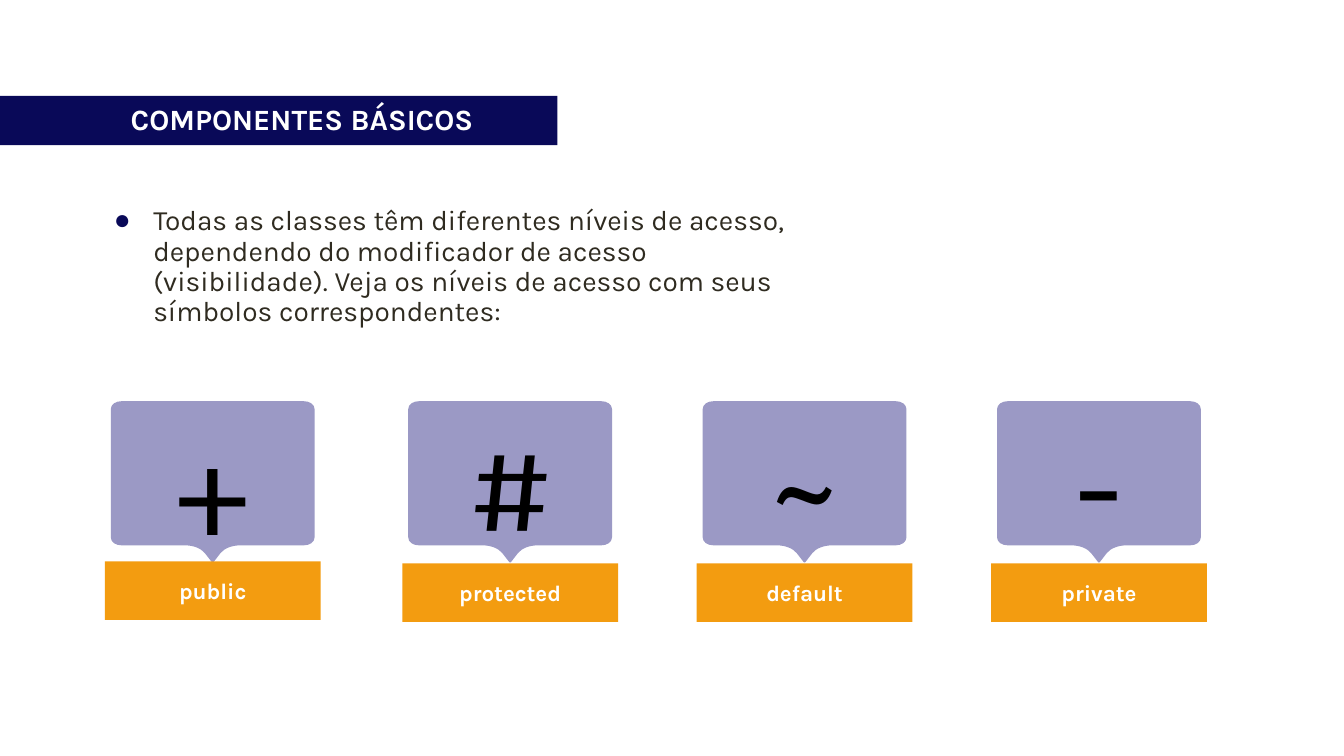
from copy import deepcopy

from lxml.etree import SubElement
from pptx import Presentation
from pptx.dml.color import RGBColor
from pptx.enum.shapes import MSO_SHAPE
from pptx.enum.text import MSO_ANCHOR, MSO_AUTO_SIZE, PP_ALIGN
from pptx.oxml.ns import qn
from pptx.util import Inches, Pt

NAVY, LILAC, ORANGE = "090958", "9B99C5", "F39C10"
WHITE, BLACK, BROWN = "FFFFFF", "000000", "2F2B20"
ACCESS_LEVELS = [
    ("+", "public", 2.11, 5.57),
    ("#", "protected", 5.06, 5.59),
    ("~", "default", 7.98, 5.59),
    ("-", "private", 10.9, 5.59),
]
BUBBLE_TOP = 3.99
BUBBLE_START = (0.1, 0)
BUBBLE_SEGMENTS = [
    [(0.04, 0), (0, 0.03), (0, 0.07)],
    [(0, 1.34)],
    [(0, 1.38), (0.04, 1.41), (0.1, 1.41)],
    [(0.73, 1.41)],
    [(0.81, 1.41), (0.89, 1.44), (0.93, 1.49)],
    [(1, 1.58)],
    [(1.07, 1.49)],
    [(1.11, 1.44), (1.19, 1.41), (1.27, 1.41)],
    [(1.9, 1.41)],
    [(1.96, 1.41), (2, 1.38), (2, 1.34)],
    [(2, 0.07)],
    [(2, 0.03), (1.96, 0), (1.9, 0)],
]


def color(hex_code):
    """Turn a hex string into a colour."""
    return RGBColor.from_string(hex_code)


def write(shape, text, size, ink, bold=False, align=PP_ALIGN.CENTER,
          anchor=MSO_ANCHOR.MIDDLE, inset=0.1, spacing=1.0):
    """Put one formatted paragraph in a shape and return it."""
    frame = shape.text_frame
    frame.word_wrap = True
    frame.auto_size = MSO_AUTO_SIZE.NONE
    frame.vertical_anchor = anchor
    frame.margin_left = frame.margin_right = Inches(0.1)
    frame.margin_top = frame.margin_bottom = Inches(inset)
    paragraph = frame.paragraphs[0]
    paragraph.alignment = align
    paragraph.line_spacing = spacing
    paragraph.space_before = Pt(0)
    run = paragraph.add_run()
    run.text = text
    run.font.name = "Karla"
    run.font.size = Pt(size)
    run.font.bold = bold
    run.font.color.rgb = color(ink)
    return paragraph


def place(shape, left, top, width, height):
    """Move and size a placeholder."""
    shape.left, shape.top = Inches(left), Inches(top)
    shape.width, shape.height = Inches(width), Inches(height)


def paint(shape, fill, outlined=False):
    """Give a shape a flat fill, with an outline of the same colour if asked."""
    shape.shadow.inherit = False
    shape.fill.solid()
    shape.fill.fore_color.rgb = color(fill)
    if outlined:
        shape.line.color.rgb = color(fill)
        shape.line.width = Pt(1.5)
    else:
        shape.line.fill.background()


def add_bar(slide, left, top, width, height, fill):
    """Add a plain coloured rectangle."""
    bar = slide.shapes.add_shape(MSO_SHAPE.RECTANGLE, Inches(left), Inches(top),
                                 Inches(width), Inches(height))
    paint(bar, fill)
    return bar


def add_bullet(paragraph, ink):
    """Give a paragraph a round bullet with a hanging indent."""
    properties = paragraph._p.get_or_add_pPr()
    properties.set("marL", str(Inches(0.5)))
    properties.set("indent", str(Inches(-0.39)))
    bullet_color = SubElement(properties, qn("a:buClr"))
    SubElement(bullet_color, qn("a:srgbClr"), val=ink)
    SubElement(properties, qn("a:buChar"), char="●")


def bend(segment, controls):
    """Turn a straight outline segment into a cubic curve."""
    end = segment[0]
    segment.tag = qn("a:cubicBezTo")
    for x, y in controls:
        control = deepcopy(end)
        control.set("x", str(Inches(x)))
        control.set("y", str(Inches(y)))
        end.addprevious(control)


def add_bubble(slide, center, symbol):
    """Add a speech bubble that holds a visibility symbol."""
    start, *ends = [(Inches(center - 1 + x), Inches(BUBBLE_TOP + y))
                    for x, y in [BUBBLE_START] + [points[-1] for points in BUBBLE_SEGMENTS]]
    builder = slide.shapes.build_freeform(*start)
    builder.add_line_segments(ends, close=True)
    bubble = builder.convert_to_shape()
    segments = list(bubble.element.iter(qn("a:lnTo")))
    for segment, (*controls, _) in zip(segments, BUBBLE_SEGMENTS):
        if controls:
            bend(segment, controls)
    paint(bubble, LILAC, outlined=True)
    write(bubble, symbol, 96, BLACK)


def main():
    """Build the slide and save it."""
    deck = Presentation()
    deck.slide_width, deck.slide_height = Inches(13.33), Inches(7.5)
    slide = deck.slides.add_slide(deck.slide_layouts[1])
    title, body = slide.placeholders

    title_bar = add_bar(slide, 0, 0.95, 5.53, 0.49, NAVY)
    title.element.addprevious(title_bar.element)
    place(title, 0.46, 0.99, 5.07, 0.42)
    write(title, "COMPONENTES BÁSICOS", 21, WHITE, bold=True, inset=0.05, spacing=0.9)

    place(body, 0.92, 2, 7.07, 4.76)
    explanation = write(
        body,
        "Todas as classes têm diferentes níveis de acesso, dependendo do modificador "
        "de acesso (visibilidade). Veja os níveis de acesso com seus símbolos "
        "correspondentes:",
        20, BROWN, align=PP_ALIGN.LEFT, anchor=MSO_ANCHOR.TOP, inset=0.05, spacing=0.9)
    add_bullet(explanation, NAVY)

    for symbol, level, center, label_top in ACCESS_LEVELS:
        add_bubble(slide, center, symbol)
        label = add_bar(slide, center - 1.07, label_top, 2.14, 0.58, ORANGE)
        write(label, level, 16, WHITE, bold=True)

    deck.save("out.pptx")


if __name__ == "__main__":
    main()
